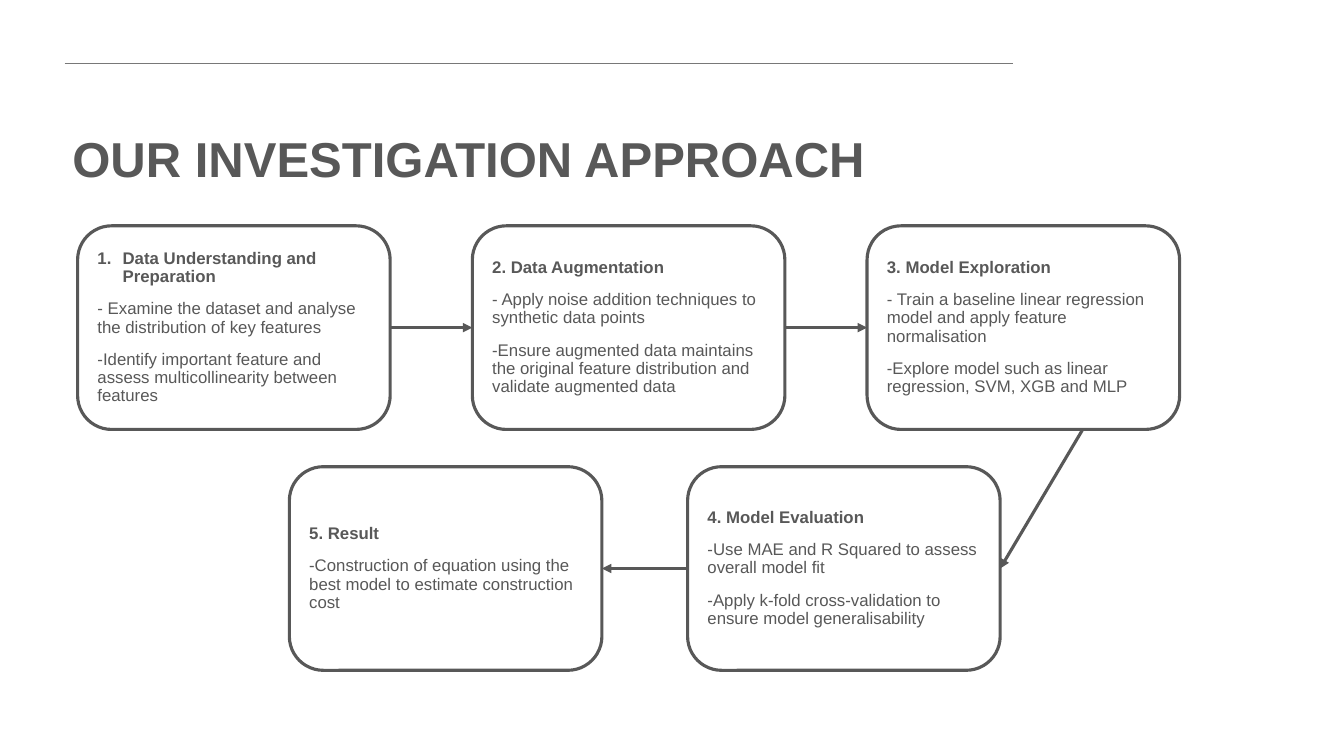
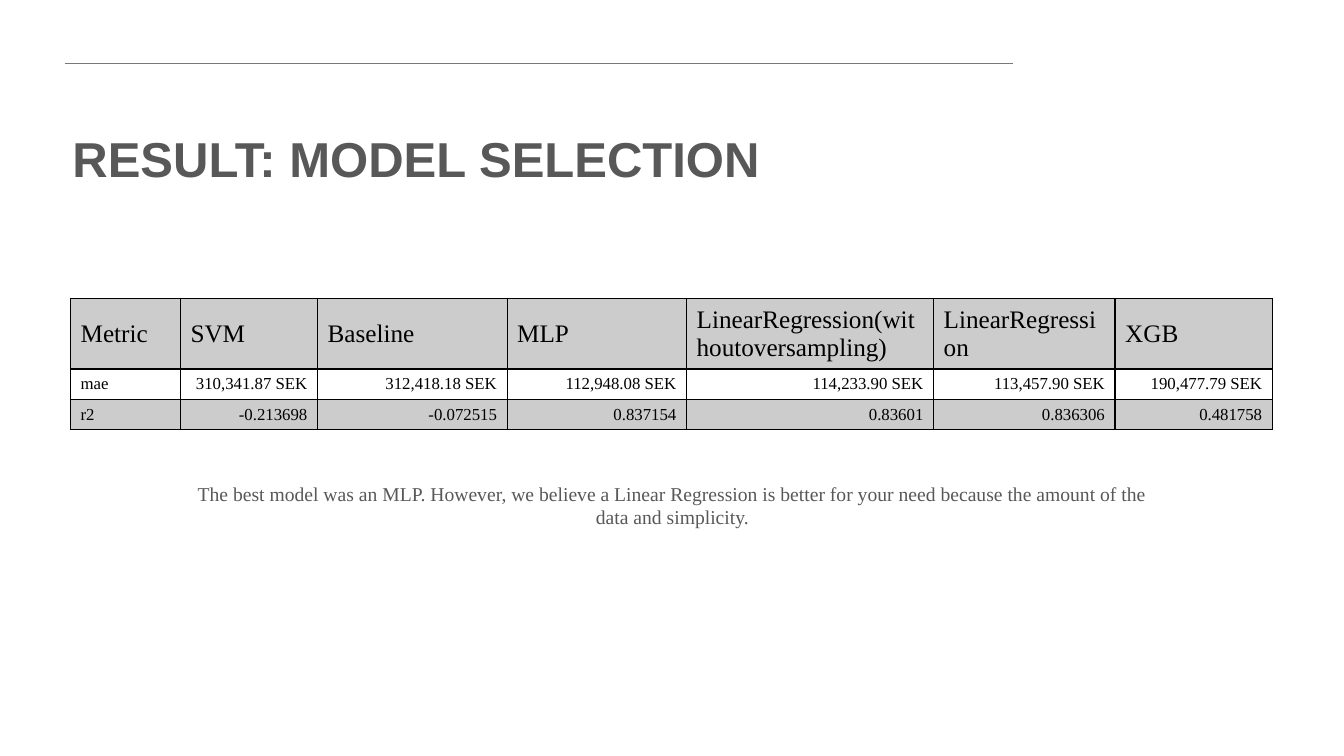
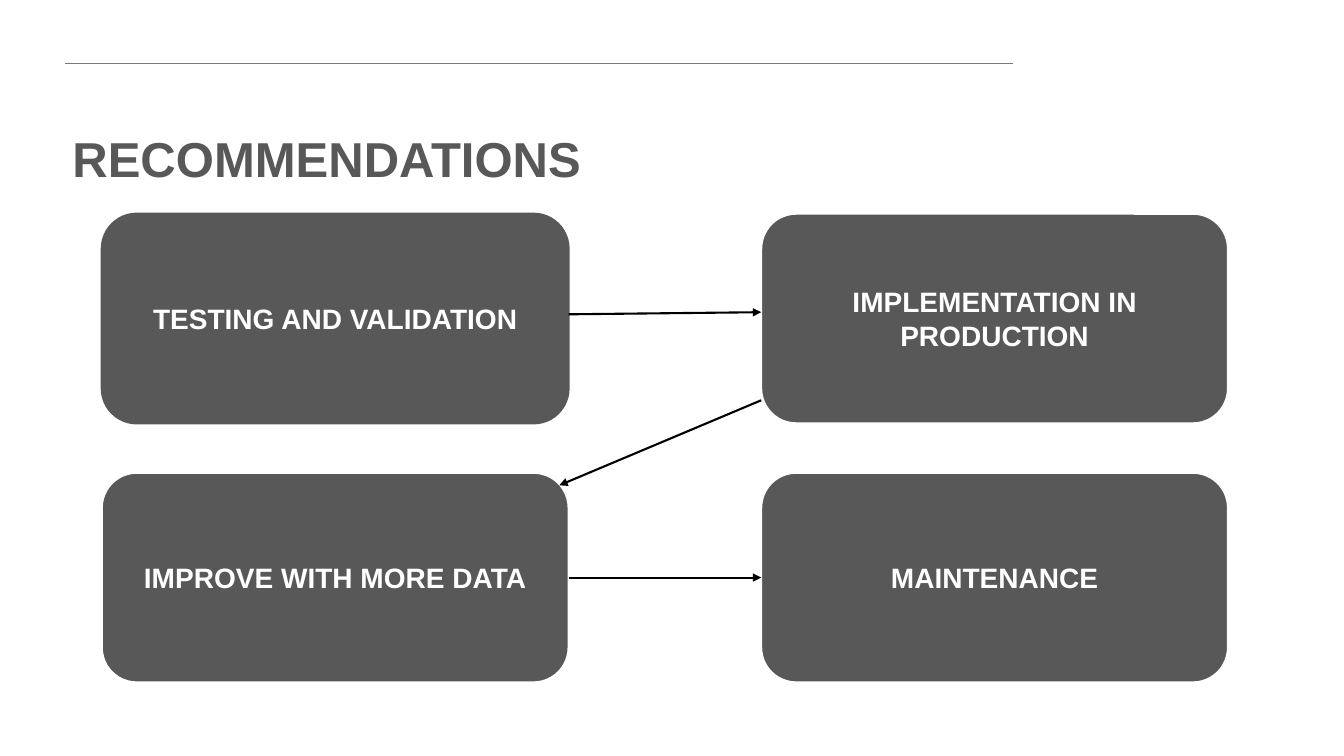
from collections import namedtuple
from dataclasses import dataclass

from lxml import etree
from pptx import Presentation
from pptx import util as u
from pptx.dml import color
from pptx.enum import shapes, text
from pptx.oxml import ns

Box = namedtuple("Box", "left top width height")


@dataclass(frozen=True)
class Theme:
    ink: str = "585858"
    rule: str = "787878"
    paper: str = "FFFFFF"
    black: str = "000000"
    band: str = "CCCCCC"
    sans: str = "Arial"
    serif: str = "Times New Roman"
    title: int = 35
    step: int = 20
    head: int = 18
    note: int = 14
    body: int = 12


THEME = Theme()
SLIDE = Box(0, 0, 13.33, 7.5)
CONTENT = Box(0.7, 2.12, 11.93, 4.65)
TIGHT = {"line_spacing": 0.9}
SPACED = {**TIGHT, "space_before": u.Pt(10)}
CENTERED = {"alignment": text.PP_ALIGN.CENTER}

STAGES = [
    ["Data Understanding and Preparation",
     "- Examine the dataset and analyse the distribution of key features",
     "-Identify important feature and assess multicollinearity between features"],
    ["2. Data Augmentation",
     "- Apply noise addition techniques to synthetic data points",
     "-Ensure augmented data maintains the original feature distribution "
     "and validate augmented data"],
    ["3. Model Exploration",
     "- Train a baseline linear regression model and apply feature normalisation",
     "-Explore model such as linear regression, SVM, XGB and MLP"],
    ["4. Model Evaluation",
     "-Use MAE and R Squared to assess overall model fit",
     "-Apply k-fold cross-validation to ensure model generalisability"],
    ["5. Result",
     "-Construction of equation using the best model to estimate construction cost"],
]

SCORES = [
    ["Metric", "SVM", "Baseline", "MLP",
     "LinearRegression(withoutoversampling)", "LinearRegression", "XGB"],
    ["mae", "310,341.87 SEK", "312,418.18 SEK", "112,948.08 SEK",
     "114,233.90 SEK", "113,457.90 SEK", "190,477.79 SEK"],
    ["r2", "-0.213698", "-0.072515", "0.837154", "0.83601", "0.836306", "0.481758"],
]
SCORE_COLUMNS = [1.09, 1.36, 1.88, 1.78, 2.45, 1.8, 1.56]
SCORE_ROWS = [0.66, 0.28, 0.28]

STEPS = ["TESTING AND VALIDATION", "IMPLEMENTATION IN PRODUCTION",
         "IMPROVE WITH MORE DATA", "MAINTENANCE"]


def rgb(value):
    return color.RGBColor.from_string(value)


def inches(values):
    return [u.Inches(value) for value in values]


def set_all(target, values):
    for name, value in values.items():
        setattr(target, name, value)


def write(frame, lines, size, ink, bold=False, font=THEME.sans, para_format=None,
          anchor=text.MSO_ANCHOR.MIDDLE):
    """Fill a text frame, one paragraph a line, all in one style."""
    set_all(frame, {"word_wrap": True, "vertical_anchor": anchor})
    for index, line in enumerate(lines):
        para = frame.add_paragraph() if index else frame.paragraphs[0]
        set_all(para, {"alignment": text.PP_ALIGN.LEFT, **(para_format or {})})
        span = para.add_run()
        span.text = line
        set_all(span.font, {"size": u.Pt(size), "name": font, "bold": bold})
        span.font.color.rgb = rgb(ink)


def add_text(page, box, line, **style):
    write(page.shapes.add_textbox(*inches(box)).text_frame, [line], **style)


def add_card(page, box, fill, outline, weight):
    card = page.shapes.add_shape(shapes.MSO_SHAPE.ROUNDED_RECTANGLE, *inches(box))
    card.shadow.inherit = False
    card.fill.solid()
    card.fill.fore_color.rgb = rgb(fill)
    card.line.color.rgb = rgb(outline)
    card.line.width = u.Pt(weight)
    return card


def add_line(page, start, end, ink, weight, arrow=False):
    line = page.shapes.add_connector(
        shapes.MSO_CONNECTOR.STRAIGHT, *inches([*start, *end]))
    line.line.color.rgb = rgb(ink)
    line.line.width = u.Pt(weight)
    if arrow:
        etree.SubElement(line.get_or_add_ln(), ns.qn("a:tailEnd"), type="triangle")
    etree.SubElement(line._element.spPr, ns.qn("a:effectLst"))


def point(box, across, down):
    """Point at the given shares of a box."""
    return box.left + across * box.width, box.top + down * box.height


def link(page, boxes, links, ink, weight):
    for source, start, target, end in links:
        add_line(page, point(boxes[source], *start), point(boxes[target], *end),
                 ink, weight, arrow=True)


def grid_row(left, top, width, height, pitch, count):
    return [Box(left + index * pitch, top, width, height) for index in range(count)]


def number(para):
    """Give a paragraph an automatic number with a hanging indent."""
    props = para._p.get_or_add_pPr()
    indent = u.Inches(0.25)
    props.set("marL", str(indent))
    props.set("indent", str(-indent))
    etree.SubElement(props, ns.qn("a:buAutoNum"), type="arabicPeriod")


def border(cell):
    props = cell._tc.get_or_add_tcPr()
    for index, side in enumerate(("lnL", "lnR", "lnT", "lnB")):
        edge = etree.Element(ns.qn("a:" + side), w=str(u.Pt(1)))
        fill = etree.SubElement(edge, ns.qn("a:solidFill"))
        etree.SubElement(fill, ns.qn("a:srgbClr"), val=THEME.black)
        props.insert(index, edge)


def titled_page(deck, title):
    page = deck.slides.add_slide(deck.slide_layouts[6])
    add_line(page, (0.64, 0.63), (10.05, 0.63), THEME.rule, 0.75)
    add_text(page, Box(0.62, 1.29, 9.64, 0.83), title, size=THEME.title,
             ink=THEME.ink, bold=True, para_format=TIGHT, anchor=text.MSO_ANCHOR.TOP)
    return page


def stage_flow(page, area):
    """Three stages rightwards, then two leftwards below."""
    width, height = 3.1, 2.02
    top = area.top + 0.12
    upper = grid_row(area.left + 0.07, top, width, height, 3.915, 3)
    lower = grid_row(area.left + 2.17, top + 2.39, width, height, 3.95, 2)
    boxes = upper + lower[::-1]
    for index, (box, lines) in enumerate(zip(boxes, STAGES)):
        frame = add_card(page, box, THEME.paper, THEME.ink, 2.25).text_frame
        write(frame, lines, THEME.body, THEME.ink, para_format=SPACED)
        frame.paragraphs[0].runs[0].font.bold = True
        if index == 0:
            number(frame.paragraphs[0])
    link(page, boxes, [(0, (1, 0.5), 1, (0, 0.5)), (1, (1, 0.5), 2, (0, 0.5)),
                       (2, (0.69, 1), 3, (1, 0.5)), (3, (0, 0.5), 4, (1, 0.5))],
         THEME.ink, 2.25)


def score_table(page, box):
    table = page.shapes.add_table(len(SCORES), len(SCORES[0]), *inches(box)).table
    set_all(table, {"first_row": False, "horz_banding": False})
    for column, width in zip(table.columns, SCORE_COLUMNS):
        column.width = u.Inches(width)
    for row, height in zip(table.rows, SCORE_ROWS):
        row.height = u.Inches(height)
    for row, values in enumerate(SCORES):
        for column, value in enumerate(values):
            cell = table.cell(row, column)
            cell.fill.solid()
            cell.fill.fore_color.rgb = rgb(THEME.paper if row % 2 else THEME.band)
            cell.vertical_anchor = text.MSO_ANCHOR.MIDDLE
            side = text.PP_ALIGN.RIGHT if row and column else text.PP_ALIGN.LEFT
            write(cell.text_frame, [value], THEME.body if row else THEME.head,
                  THEME.black, font=THEME.serif, para_format={"alignment": side})
            border(cell)


def score_panel(page, area):
    score_table(page, Box(area.left, area.top + 0.84, area.width, sum(SCORE_ROWS)))
    add_text(page, Box(area.left + 1.16, area.top + 2.69, 9.62, 0.4),
             "The best model was an MLP. However, we believe a Linear Regression is "
             "better for your need because the amount of the data and simplicity.",
             size=THEME.note, ink=THEME.ink, font=THEME.serif, para_format=CENTERED)


def step_flow(page, area):
    """Two by two steps, read in rows."""
    boxes = [box for row in range(2)
             for box in grid_row(area.left + 0.31, area.top + row * 2.57,
                                 4.63, 2.08, 6.54, 2)]
    for index, (box, label) in enumerate(zip(boxes, STEPS)):
        outline = THEME.paper if index else THEME.ink
        card = add_card(page, box, THEME.ink, outline, 1.5)
        write(card.text_frame, [label], THEME.step, THEME.paper, bold=True,
              para_format=CENTERED)
    link(page, boxes, [(0, (1, 0.48), 1, (0, 0.47)), (1, (0, 0.89), 2, (0.98, 0.06)),
                       (2, (1, 0.5), 3, (0, 0.5))], THEME.black, 1.5)


def main():
    deck = Presentation()
    set_all(deck, {"slide_width": u.Inches(SLIDE.width),
                   "slide_height": u.Inches(SLIDE.height)})
    for title, fill_page in [("OUR INVESTIGATION APPROACH", stage_flow),
                             ("RESULT: MODEL SELECTION", score_panel),
                             ("RECOMMENDATIONS", step_flow)]:
        fill_page(titled_page(deck, title), CONTENT)
    deck.save("out.pptx")


if __name__ == "__main__":
    main()
